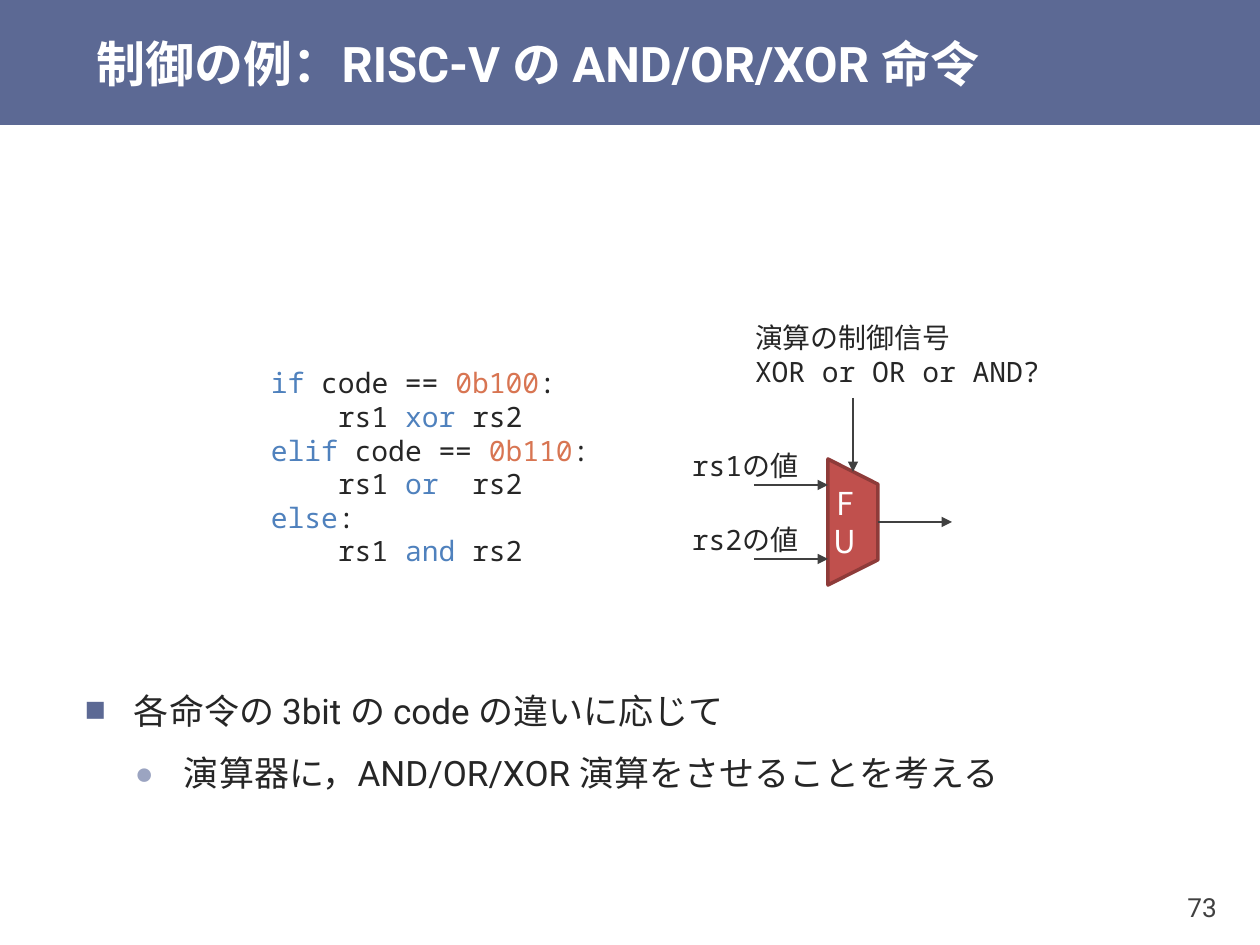
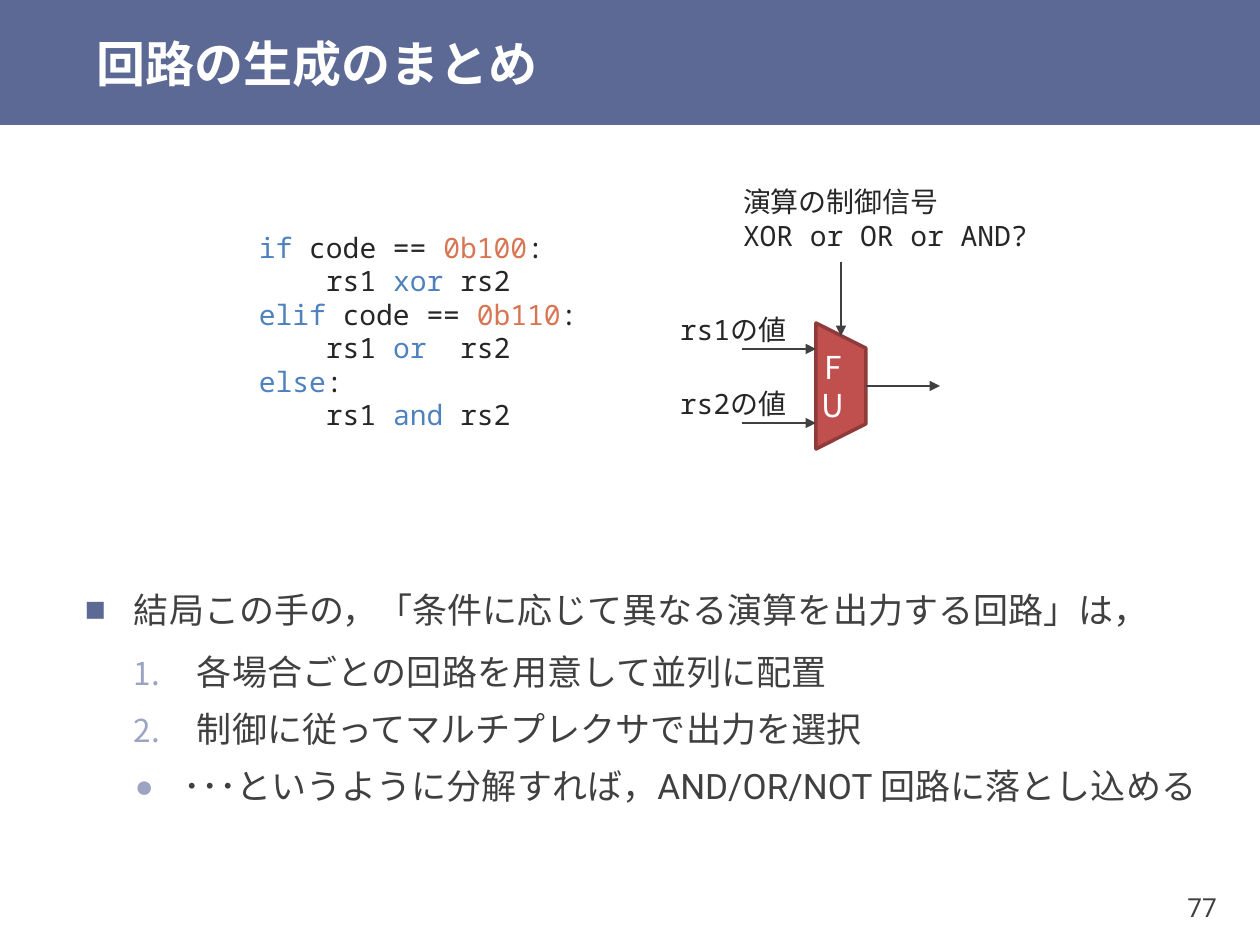
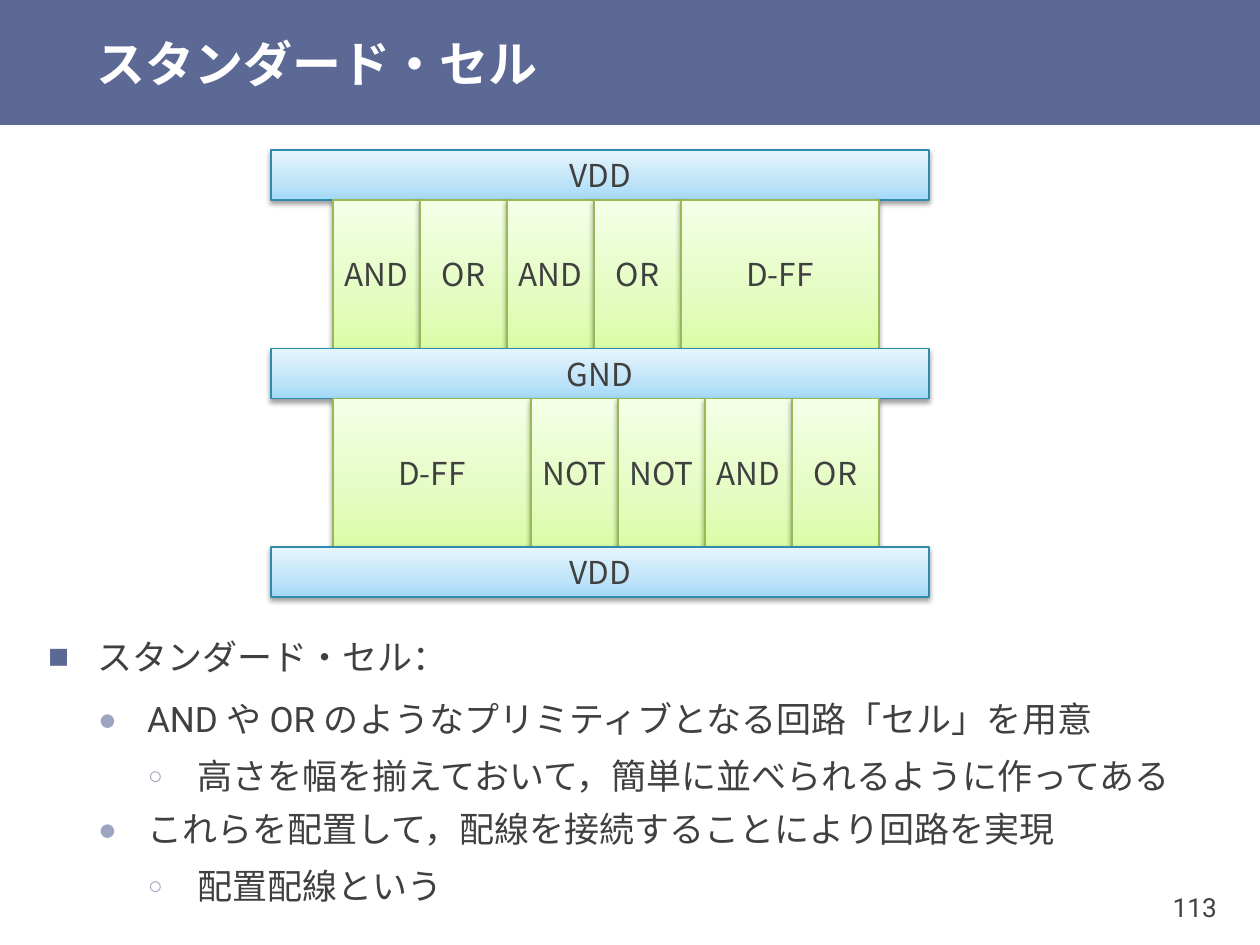
from pptx import Presentation
from pptx.dml.color import RGBColor
from pptx.enum.shapes import MSO_CONNECTOR as Link, MSO_SHAPE as Geo
from pptx.enum.text import MSO_ANCHOR as Anchor, MSO_AUTO_SIZE as Fit, PP_ALIGN as Align
from pptx.oxml import parse_xml
from pptx.oxml.ns import nsdecls, qn
from pptx.oxml.xmlchemy import OxmlElement as Tag
from pptx.util import Pt

SCALE = 914400 / 126
WIDE, HIGH, BAND = 1260, 945, 125

NAVY, PALE, WHITE = "5C6994", "9BA4C1", "FFFFFF"
DARK, INK = "404040", "262626"
BLUE, ORANGE = "4F81BD", "D87552"
RED, MAROON = "C0504D", "8E3B39"
SKY = ("A2D9F7", "BFE4F8", "E6F5FD"), "2E8DAB"
LIME = ("DAFDA7", "E4FCC2", "F5FFE7"), "98B955"

ROBOTO, MONO, CJK = "Roboto", "Noto Sans Mono", "Noto Sans CJK JP"

# Bullet styles: level, left, hang, mark, colour, size %, space before, space after
MARKS = {
    "main": (0, 49, 49, "■", NAVY, 100, 24, 6),
    "sub": (1, 99, 49, "●", PALE, 90, 3, 3),
    "num": (1, 112, 63, None, PALE, 90, 3, 3),
    "leaf": (2, 149, 49, "○", PALE, 70, 3, 1),
}

CODE = [
    [("if", BLUE), (" code == ", INK), ("0b100", ORANGE), (":", INK)],
    [("    rs1 ", INK), ("xor ", BLUE), ("rs2", INK)],
    [("elif ", BLUE), ("code == ", INK), ("0b110", ORANGE), (":", INK)],
    [("    rs1 ", INK), ("or", BLUE), ("  rs2", INK)],
    [("else", BLUE), (":", INK)],
    [("    rs1 ", INK), ("and", BLUE), (" rs2", INK)],
]


def emu(px):
    return round(px * SCALE)


def box(*sides):
    return [emu(side) for side in sides]


def rgb(code):
    return RGBColor.from_string(code)


def child(parent, name, **attrs):
    node = Tag(name)
    for key, value in attrs.items():
        node.set(key, str(value))
    parent.append(node)
    return node


def write(frame, paras, size=18, font=CJK, color=DARK, bold=False,
          align=Align.LEFT, anchor=Anchor.MIDDLE, wrap=True, pad=(13, 6), marks=()):
    """Fill a text frame; a paragraph is a string or a list of (text, colour)."""
    frame.auto_size = Fit.NONE
    frame.word_wrap = wrap
    frame.vertical_anchor = anchor
    frame.margin_left = frame.margin_right = emu(pad[0])
    frame.margin_top = frame.margin_bottom = emu(pad[1])
    for i, parts in enumerate(paras):
        para = frame.add_paragraph() if i else frame.paragraphs[0]
        para.alignment = align
        if marks:
            mark(para, marks[i], first=i == 0)
        for text, tint in [(parts, color)] if isinstance(parts, str) else parts:
            run = para.add_run()
            run.text = text
            run.font.size = Pt(size)
            run.font.bold = bold
            run.font.color.rgb = rgb(tint)
            run.font.name = font
            child(run.font._element, "a:ea", typeface=CJK)


def mark(para, kind, first):
    level, left, hang, sign, color, size, before, after = MARKS[kind]
    para.level = level
    props = para._p.get_or_add_pPr()
    props.set("marL", str(emu(left)))
    props.set("indent", str(-emu(hang)))
    child(child(props, "a:buClr"), "a:srgbClr", val=color)
    child(props, "a:buSzPct", val=size * 1000)
    child(props, "a:buFont", typeface=MONO if sign else CJK)
    if sign:
        child(props, "a:buChar", char=sign)
    else:
        child(props, "a:buAutoNum", type="arabicPeriod")
    para.line_spacing = 1.1
    para.space_before = Pt(0 if first else before)
    para.space_after = Pt(after)


class Deck:
    def __init__(self):
        self.pres = Presentation()
        self.pres.slide_width, self.pres.slide_height = box(WIDE, HIGH)
        self.layout = self.pres.slide_layouts[5]
        self.slide = None

    def start(self, title, page):
        fresh = self.slide is None
        self.slide = self.pres.slides.add_slide(self.layout)
        if fresh:  # the band belongs to the shared layout
            band = self.shape(Geo.RECTANGLE, 0, 0, WIDE, BAND, NAVY)
            self.layout.shapes._spTree.insert(2, band._element)
        head = self.slide.shapes.title
        head.left, head.top, head.width, head.height = box(84, 0, WIDE - 84, BAND)
        write(head.text_frame, [title], size=28, font=ROBOTO, color=WHITE,
              bold=True, pad=(13, 0))
        self.label([page], 1126, 869, 100, 76, size=15, font=ROBOTO,
                   align=Align.RIGHT, wrap=False, pad=(9, 5))

    def shape(self, geo, x, y, w, h, fill, edge=None, weight=1):
        item = self.slide.shapes.add_shape(geo, *box(x, y, w, h))
        item.shadow.inherit = False
        item.fill.solid()
        item.fill.fore_color.rgb = rgb(fill)
        if edge:
            item.line.color.rgb = rgb(edge)
            item.line.width = Pt(weight)
        else:
            item.line.fill.background()
        return item

    def label(self, paras, x, y, w, h, **style):
        item = self.slide.shapes.add_textbox(*box(x, y, w, h))
        write(item.text_frame, paras, **style)

    def points(self, rows, x, y, w, h, color=DARK):
        kinds, texts = zip(*rows)
        self.label(texts, x, y, w, h, size=20, font=ROBOTO, color=color, marks=kinds)

    def arrow(self, x1, y1, x2, y2):
        item = self.slide.shapes.add_connector(Link.STRAIGHT, *box(x1, y1, x2, y2))
        item.line.color.rgb = rgb(DARK)
        item.line.width = Pt(1.25)
        child(item.line._get_or_add_ln(), "a:tailEnd", type="triangle")
        child(item._element.spPr, "a:effectLst")

    def tile(self, text, x, y, w, h, look):
        """Gradient block with a soft shadow below."""
        tints, edge = look
        item = self.shape(Geo.RECTANGLE, x, y, w, h, tints[0], edge, 0.75)
        stops = "".join(f'<a:gs pos="{pos}000"><a:srgbClr val="{tint}"/></a:gs>'
                        for pos, tint in zip((0, 35, 100), tints))
        props = item._element.spPr
        props.replace(props.find(qn("a:solidFill")), parse_xml(
            f'<a:gradFill {nsdecls("a")} rotWithShape="1"><a:gsLst>{stops}</a:gsLst>'
            '<a:lin ang="16200000" scaled="0"/></a:gradFill>'))
        shade = child(props.find(qn("a:effectLst")), "a:outerShdw", blurRad=Pt(3.1),
                      dist=Pt(1.6), dir=5400000, rotWithShape=0)
        child(child(shade, "a:srgbClr", val="000000"), "a:alpha", val=38000)
        write(item.text_frame, [text], align=Align.CENTER, wrap=False)

    def circuit(self, x, y):
        """Function unit with its top left at x, y, its signals and its code."""
        w, h, reach = 50, 126, 74
        unit = self.shape(Geo.FLOWCHART_MANUAL_OPERATION, x + (w - h) / 2,
                          y + (h - w) / 2, h, w, RED, MAROON, 2)
        unit.rotation = 270
        write(unit.text_frame, ["FU"], color=WHITE, align=Align.CENTER)
        unit.text_frame._txBody.bodyPr.set("vert", "eaVert")

        plain = dict(size=16, font=MONO, color=INK, wrap=False)
        for name, drop in (("rs1", 26), ("rs2", 100)):
            self.arrow(x - reach, y + drop, x, y + drop)
            self.label([name + "の値"], x - 149, y + drop - 38, reach, 37, **plain)
        self.arrow(x + w, y + h / 2, x + w + reach, y + h / 2)
        self.arrow(x + w / 2, y - 61, x + w / 2, y + 13)
        self.label(["演算の制御信号", "XOR or OR or AND?"], x - 86, y - 123, 210, 37,
                   **plain)
        self.label(CODE, x - 570, y - 99, 322, 210, anchor=Anchor.TOP, **plain)

    def cells(self, rails, rows):
        """Rails at an equal pitch with a row of cells between each pair."""
        top, rail, cell = 150, 50, 148.5
        for i, name in enumerate(rails):
            y = top + i * (rail + cell)
            self.tile(name, 271, y, 658, rail, SKY)
            x = 333
            for gate in rows[i] if i < len(rows) else ():
                w = 198 if gate == "D-FF" else 87
                self.tile(gate, x, y + rail, w, cell, LIME)
                x += w


def main():
    deck = Deck()

    # Control example
    deck.start("制御の例：RISC-V の AND/OR/XOR 命令", "73")
    deck.circuit(828, 459)
    deck.points([
        ("main", "各命令の 3bit の code の違いに応じて"),
        ("sub", "演算器に，AND/OR/XOR 演算をさせることを考える"),
    ], 72, 634, 1153, 210, color=INK)

    # Summary of circuit generation
    deck.start("回路の生成のまとめ", "77")
    deck.circuit(816, 323)
    deck.points([
        ("main", "結局この手の，「条件に応じて異なる演算を出力する回路」は，"),
        ("num", "各場合ごとの回路を用意して並列に配置"),
        ("num", "制御に従ってマルチプレクサで出力を選択"),
        ("sub", "･･･というように分解すれば，AND/OR/NOT 回路に落とし込める"),
    ], 72, 634, 1142, 123)

    # Standard cells
    deck.start("スタンダード・セル", "113")
    deck.points([
        ("main", "スタンダード・セル："),
        ("sub", "AND や OR のようなプリミティブとなる回路「セル」を用意"),
        ("leaf", "高さを幅を揃えておいて，簡単に並べられるように作ってある"),
        ("sub", "これらを配置して，配線を接続することにより回路を実現"),
        ("leaf", "配置配線という"),
    ], 35, 670, 1191, 198)
    deck.cells(["VDD", "GND", "VDD"], [
        ["AND", "OR", "AND", "OR", "D-FF"],
        ["D-FF", "NOT", "NOT", "AND", "OR"],
    ])

    deck.pres.save("out.pptx")


if __name__ == "__main__":
    main()
